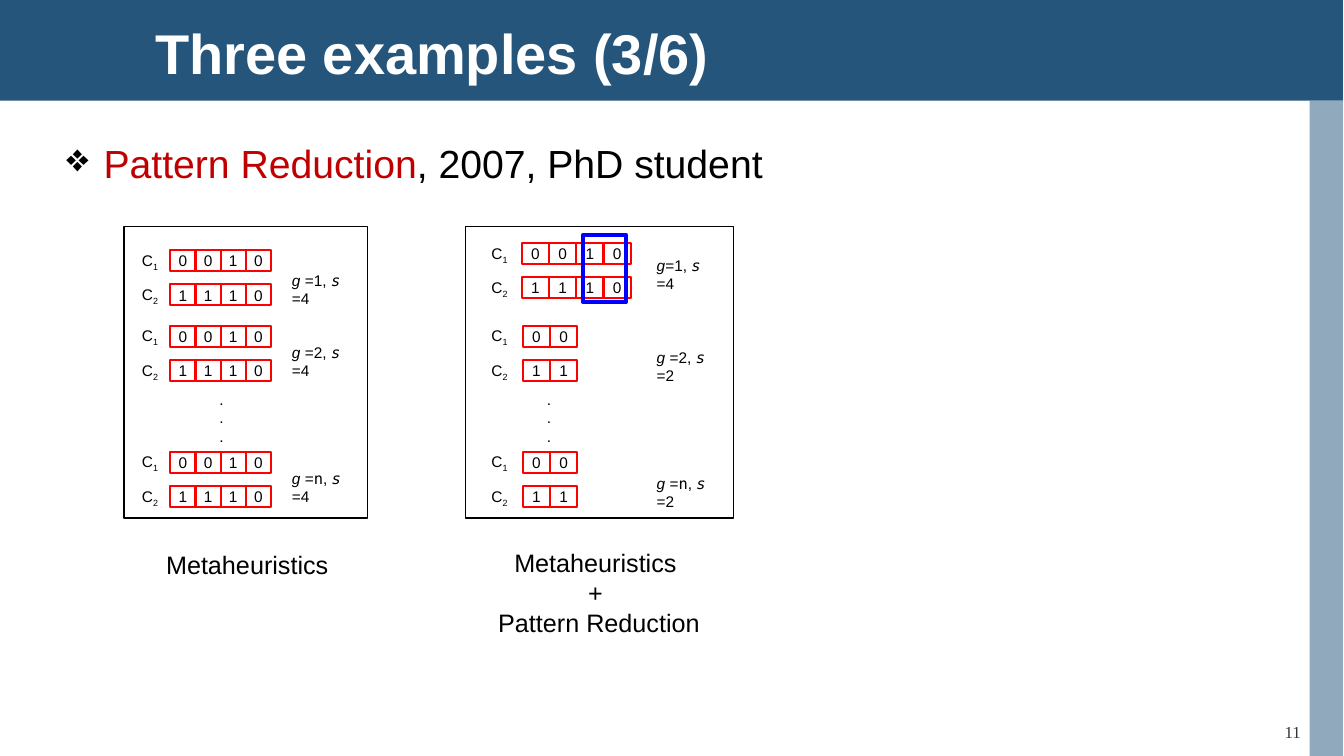
from lxml import etree
from pptx import Presentation
from pptx import util as u
from pptx.dml.color import RGBColor
from pptx.enum import shapes, text
from pptx.oxml import ns

PX = 9144  # one px is a hundredth of an inch
LEFT, MID = text.PP_ALIGN.LEFT, text.PP_ALIGN.CENTER
BLUE, RED, BLACK = "25557B", "FF0000", "000000"
SMALL = {"size": u.Pt(11), "name": "Arial"}
LARGE = {"size": u.Pt(18), "name": "Arial"}
SLANT = {"italic": True}
MONO = {"name": "DejaVu Sans Mono"}


def rgb(code):
    return RGBColor.from_string(code)


def area(*box):
    return [n * PX for n in box]


def style(obj, form):
    for key, val in form.items():
        setattr(obj, key, val)


def write(frame, paras, form, align=LEFT, color=BLACK):
    """Fill a frame; each paragraph is a list of (words, extra format, colour)."""
    for i, runs in enumerate(paras):
        para = frame.add_paragraph() if i else frame.paragraphs[0]
        para.alignment = align
        for words, extra, *tint in runs:
            run = para.add_run()
            run.text = words
            style(run.font, {**form, **extra})
            run.font.color.rgb = rgb(tint[0] if tint else color)


def label(slide, box, paras, form, align=LEFT, color=BLACK):
    frame = slide.shapes.add_textbox(*area(*box)).text_frame
    frame.word_wrap = True
    write(frame, paras, form, align, color)
    return frame


def rect(slide, box, fill=None, line=None, width=1):
    shape = slide.shapes.add_shape(shapes.MSO_SHAPE.RECTANGLE, *area(*box))
    shape.shadow.inherit = False
    if fill:
        shape.fill.solid()
        shape.fill.fore_color.rgb = rgb(fill)
    else:
        shape.fill.background()
    if line:
        shape.line.color.rgb = rgb(line)
        shape.line.width = u.Pt(width)
    else:
        shape.line.fill.background()
    return shape


def cell(slide, box, digit):
    frame = rect(slide, box, line=RED, width=1.5).text_frame
    style(frame, {"margin_left": 0, "margin_right": 0, "margin_top": 0,
                  "margin_bottom": 0, "word_wrap": False,
                  "vertical_anchor": text.MSO_ANCHOR.MIDDLE})
    write(frame, [[(digit, {})]], SMALL, MID)


def pair(slide, tag, left, top, wide, codes):
    """Draw two coded rows with their names C1 and C2."""
    for row, code in enumerate(codes):
        y = top + 34 * row
        for col, digit in enumerate(code):
            cell(slide, (left + wide * col, y, wide, 21), digit)
        frame = label(slide, (tag, y - 4, 42, 28),
                      [[("C", {}), (str(row + 1), {})]], SMALL)
        sub = frame.paragraphs[0].runs[1]
        sub.font._element.set("baseline", "-25000")


def state(slide, left, top, gen, size, gap=" "):
    """Write the generation g and the pattern size s."""
    count = [("=", {}), (gen, MONO if gen == "n" else {}), (", ", {})]
    runs = [("g" + gap, SLANT), *count, ("s ", {**MONO, **SLANT}),
            (f"={size}", {})]
    label(slide, (left, top, 84, 29), [runs], SMALL)


def dots(slide, left):
    label(slide, (left, 382, 30, 65), [[(".", {})]] * 3, SMALL)


def header(slide):
    rect(slide, (0, 0, 1333, 100), BLUE)
    side = rect(slide, (1300, 100, 33, 650), BLUE)
    tint = side.element.find(".//" + ns.qn("a:srgbClr"))
    etree.SubElement(tint, ns.qn("a:alpha"), val="50000")
    title = slide.shapes.title
    side.element.addnext(title.element)
    spots = ("left", "top", "width", "height")
    style(title, dict(zip(spots, area(144, 25, 1033, 53))))
    style(title.text_frame, {"vertical_anchor": text.MSO_ANCHOR.MIDDLE,
                             "auto_size": text.MSO_AUTO_SIZE.NONE})
    write(title.text_frame, [[("Three examples (3/6)", {})]],
          {"size": u.Pt(40), "name": "Arial", "bold": True}, color="FFFFFF")


def topic(slide):
    runs = [("Pattern Reduction", {}, "C00000"), (", 2007, PhD student", {})]
    frame = label(slide, (56, 133, 1228, 558), [runs],
                  {"size": u.Pt(28), "name": "Arial"})
    para = frame.paragraphs[0]
    para.space_before = u.Pt(7)
    props = para._p.get_or_add_pPr()
    props.set("marL", str(37 * PX))
    props.set("indent", str(-37 * PX))
    tint = etree.SubElement(props, ns.qn("a:buClr"))
    etree.SubElement(tint, ns.qn("a:srgbClr"), val=BLACK)
    etree.SubElement(props, ns.qn("a:buChar"), char="❖")


def main():
    prs = Presentation()
    prs.slide_width, prs.slide_height = area(1334, 750)
    slide = prs.slides.add_slide(prs.slide_layouts[5])

    # Bars, title, topic and page number
    header(slide)
    topic(slide)
    label(slide, (1222, 711, 122, 28), [[("11", {})]],
          {"size": u.Pt(12), "name": "Times New Roman"}, MID, "333333")

    # Plain metaheuristics: every generation keeps four patterns
    full, short = ("0010", "1110"), ("00", "11")
    for top, mark, gen in ((248, 264, "1"), (323, 335, "2"), (448, 460, "n")):
        pair(slide, 131, 169, top, 25, full)
        state(slide, 280, mark, gen, 4)
    dots(slide, 208)

    # Pattern reduction: two patterns remain after the first generation
    pair(slide, 478, 518, 241, 27, full)
    state(slide, 642, 249, "1", 4, "")
    for top, mark, gen in ((323, 340, "2"), (448, 465, "n")):
        pair(slide, 478, 519, top, 27, short)
        state(slide, 642, mark, gen, 2)
    dots(slide, 533)
    rect(slide, (579, 233, 42, 67), line="0000FF", width=3)

    # Frames and captions
    for left, wide in ((123, 242), (462, 266)):
        rect(slide, (left, 225, wide, 289), line=BLACK)
    label(slide, (155, 540, 195, 40), [[("Metaheuristics", {})]], LARGE)
    lines = ("Metaheuristics ", "+ ", "Pattern Reduction")
    label(slide, (460, 538, 269, 100), [[(s, {})] for s in lines], LARGE, MID)

    prs.save("out.pptx")


if __name__ == "__main__":
    main()
